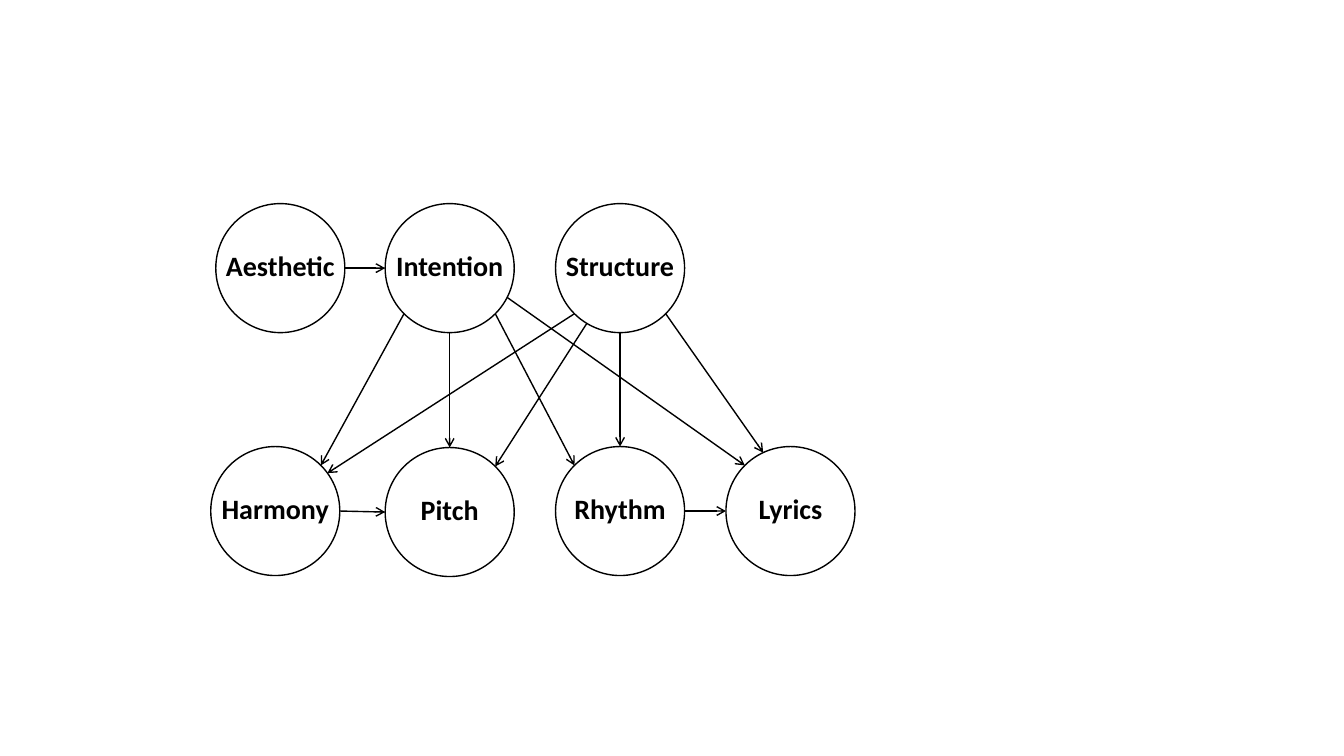
from dataclasses import dataclass
from math import cos, radians, sin

from lxml import etree
from pptx import Presentation
from pptx.dml.color import RGBColor
from pptx.enum.shapes import MSO_CONNECTOR, MSO_SHAPE
from pptx.enum.text import MSO_ANCHOR, PP_ALIGN
from pptx.oxml.ns import qn
from pptx.util import Inches, Pt

OVAL = MSO_SHAPE.OVAL
STRAIGHT = MSO_CONNECTOR.STRAIGHT
MIDDLE = MSO_ANCHOR.MIDDLE
CENTER = PP_ALIGN.CENTER


@dataclass(frozen=True)
class Theme:
    ink: RGBColor = RGBColor(0, 0, 0)
    paper: RGBColor = RGBColor(255, 255, 255)
    font: str = "Calibri"
    label_size: Pt = Pt(20)
    line_width: Pt = Pt(1)


THEME = Theme()
DIAMETER = 1.28
RADIUS = DIAMETER / 2
TOP_ROW, BOTTOM_ROW = 2.02, 4.43

# Left and top of each circle, in inches
CIRCLES = {
    "Aesthetic": (2.14, TOP_ROW),
    "Intention": (3.82, TOP_ROW),
    "Structure": (5.51, TOP_ROW),
    "Harmony": (2.09, BOTTOM_ROW),
    "Pitch": (3.82, BOTTOM_ROW + 0.01),
    "Rhythm": (5.51, BOTTOM_ROW),
    "Lyrics": (7.2, BOTTOM_ROW),
}

# Start circle and angle, end circle and angle; degrees run clockwise from the right
ARROWS = [
    ("Aesthetic", 0, "Intention", 180),
    ("Intention", 135, "Harmony", -45),
    ("Intention", 90, "Pitch", -90),
    ("Intention", 45, "Rhythm", -135),
    ("Intention", 27, "Lyrics", -135),
    ("Structure", 135, "Harmony", -36),
    ("Structure", 121, "Pitch", -45),
    ("Structure", 90, "Rhythm", -90),
    ("Structure", 45, "Lyrics", -115),
    ("Harmony", 0, "Pitch", 180),
    ("Rhythm", 0, "Lyrics", 180),
]


def rim_point(name, angle):
    """Return the point on a circle's edge at the given angle."""
    left, top = CIRCLES[name]
    turn = radians(angle)
    return (Inches(left + RADIUS + RADIUS * cos(turn)),
            Inches(top + RADIUS + RADIUS * sin(turn)))


deck = Presentation()
deck.slide_width, deck.slide_height = Inches(13.33), Inches(7.5)
page = deck.slides.add_slide(deck.slide_layouts[6])

for start, start_angle, end, end_angle in ARROWS:
    arrow = page.shapes.add_connector(
        STRAIGHT, *rim_point(start, start_angle), *rim_point(end, end_angle))
    arrow.line.color.rgb = THEME.ink
    arrow.line.width = THEME.line_width
    etree.SubElement(arrow.line._get_or_add_ln(), qn("a:tailEnd"), type="arrow")
    etree.SubElement(arrow._element.spPr, qn("a:effectLst"))

frame_format = {
    "margin_left": Inches(0.1), "margin_right": Inches(0.1),
    "margin_top": Inches(0), "margin_bottom": Inches(0.05),
    "word_wrap": False, "vertical_anchor": MIDDLE,
}
font_format = {"name": THEME.font, "size": THEME.label_size, "bold": True}

for name, (left, top) in CIRCLES.items():
    circle = page.shapes.add_shape(
        OVAL, Inches(left), Inches(top), Inches(DIAMETER), Inches(DIAMETER))
    circle.shadow.inherit = False
    circle.fill.solid()
    circle.fill.fore_color.rgb = THEME.paper
    circle.line.color.rgb = THEME.ink
    circle.line.width = THEME.line_width
    frame = circle.text_frame
    for key, value in frame_format.items():
        setattr(frame, key, value)
    para = frame.paragraphs[0]
    para.alignment = CENTER
    span = para.add_run()
    span.text = name
    for key, value in font_format.items():
        setattr(span.font, key, value)
    span.font.color.rgb = THEME.ink

deck.save("out.pptx")
